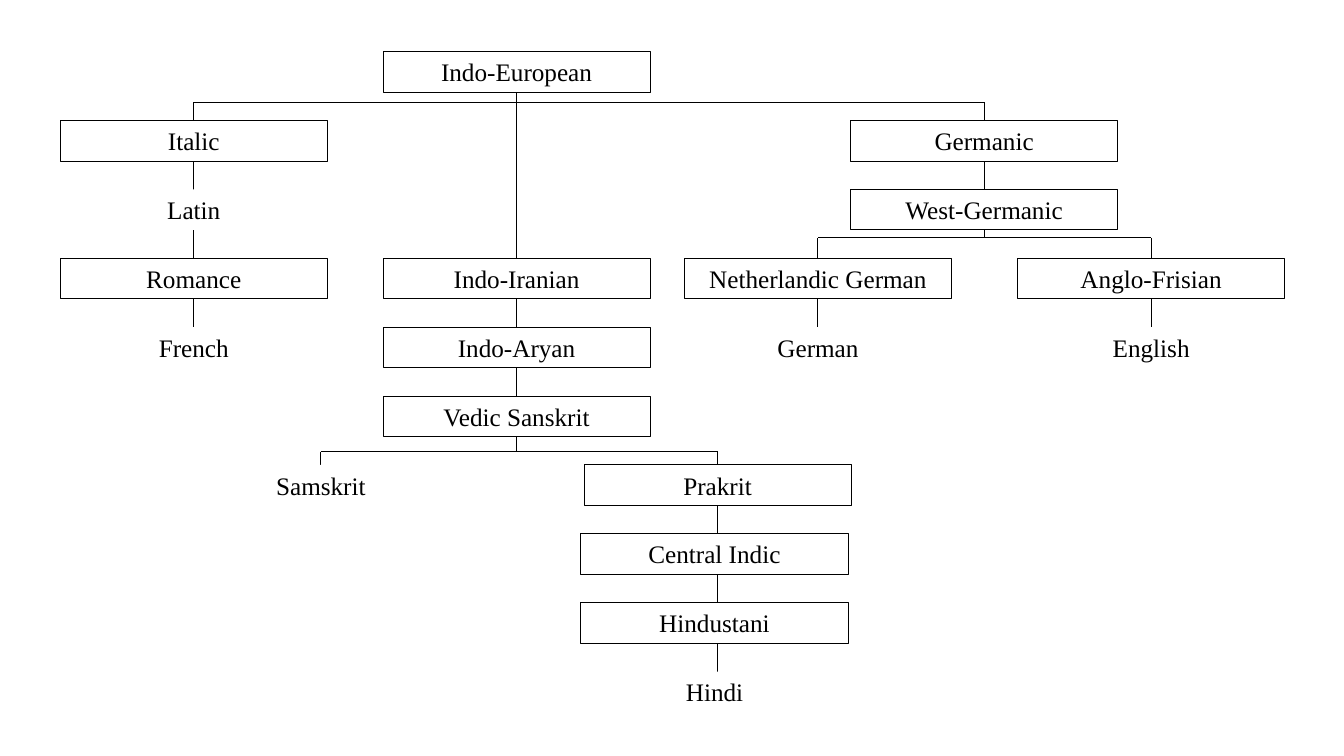
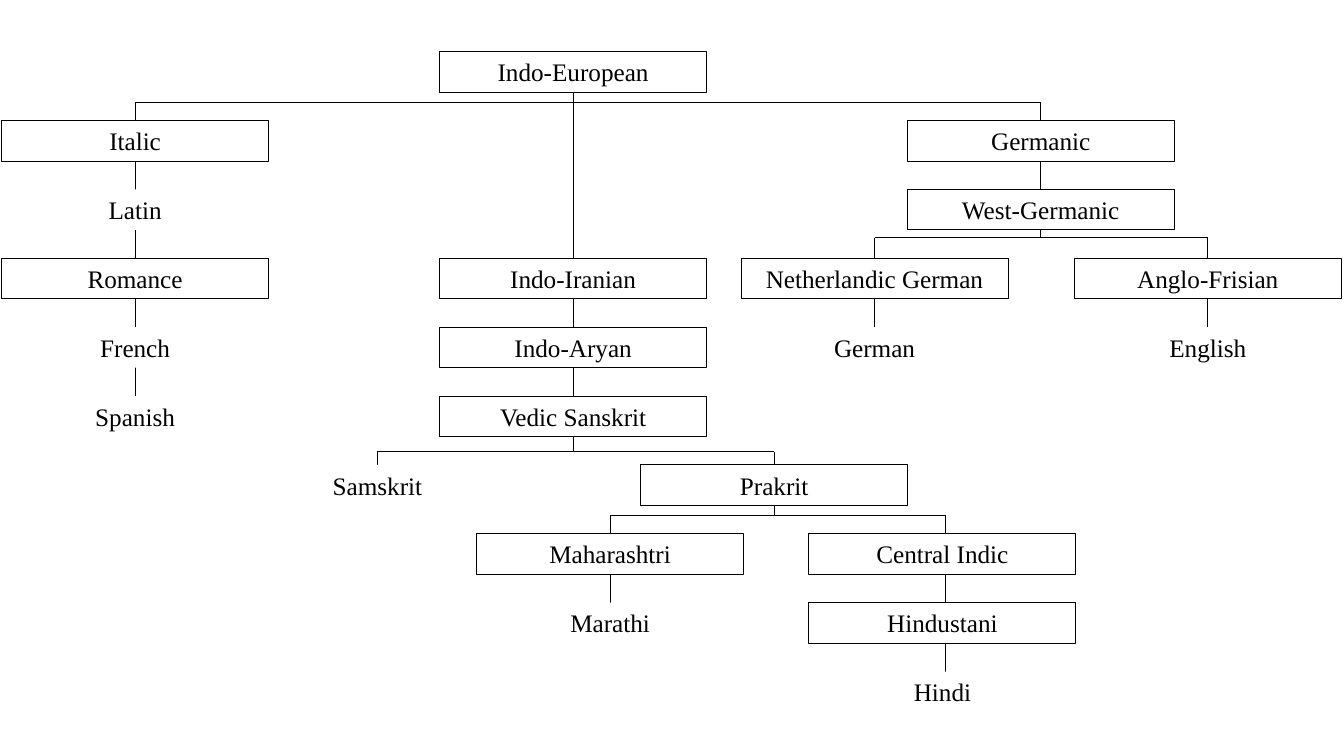
from dataclasses import dataclass

import pptx
import pptx.dml.color
import pptx.enum.shapes
import pptx.enum.text
import pptx.oxml
import pptx.util
from pptx.util import Pt

BLACK = pptx.dml.color.RGBColor(0, 0, 0)
WHITE = pptx.dml.color.RGBColor(255, 255, 255)
FONT = {"name": "Times New Roman", "size": Pt(18)}
INSETS = {"margin_left": Pt(7.2), "margin_right": Pt(7.2),
          "margin_top": Pt(3.6), "margin_bottom": Pt(3.6)}
LINE_WIDTH = 0.75

BOX_W, BOX_H = 190.8, 29
FIRST_TOP, ROW_STEP = 36.9, 49.2

# Languages that stand without a frame
UNFRAMED = {"Latin", "French", "Spanish", "Samskrit", "Marathi", "Hindi",
            "German", "English"}


@dataclass
class Branch:
    """A column of names; children fork off at `drop` below the last one."""
    x: float
    row: int
    names: list
    children: tuple = ()
    drop: float = 0
    box_shift: float = 0


def indo_european(dx, italic_x, italic, prakrit_children):
    """The family tree, moved right by dx except for the Italic column."""
    german = Branch(584.3 + dx, 3, ["Netherlandic German", "German"])
    english = Branch(822.3 + dx, 3, ["Anglo-Frisian", "English"])
    germanic = Branch(703 + dx, 1, ["Germanic", "West-Germanic"],
                      (german, english), drop=5.6)
    samskrit = Branch(229.2 + dx, 6, ["Samskrit"])
    prakrit = Branch(512.6 + dx, 6, ["Prakrit"], prakrit_children, drop=6.8)
    iranian = Branch(369 + dx, 3, ["Indo-Iranian", "Indo-Aryan", "Vedic Sanskrit"],
                     (samskrit, prakrit), drop=10.7)
    return Branch(369 + dx, 0, ["Indo-European"],
                  (Branch(italic_x, 1, italic), iranian, germanic), drop=7.3)


def central_indic(x):
    return Branch(x, 7, ["Central Indic", "Hindustani", "Hindi"], box_shift=-2.2)


ITALIC = ["Italic", "Latin", "Romance", "French"]
TREES = [
    indo_european(0, 138.4, ITALIC, (central_indic(512.6),)),
    indo_european(40.4, 96.5, ITALIC + ["Spanish"],
                  (Branch(435.8, 7, ["Maharashtri", "Marathi"]),
                   central_indic(675.4))),
]


def apply_format(target, values):
    for name, value in values.items():
        setattr(target, name, value)


def add_line(slide, x1, y1, x2, y2):
    line = slide.shapes.add_connector(pptx.enum.shapes.MSO_CONNECTOR.STRAIGHT,
                                      Pt(x1), Pt(y1), Pt(x2), Pt(y2))
    line.line.color.rgb = BLACK
    line.line.width = Pt(LINE_WIDTH)
    sp_pr = line._element.spPr
    sp_pr.append(pptx.oxml.parse_xml(
        '<a:effectLst xmlns:a="http://schemas.openxmlformats.org/drawingml/2006/main"/>'))


def add_box(slide, name, centre, top):
    sp = slide.shapes.add_shape(pptx.enum.shapes.MSO_SHAPE.RECTANGLE,
                                Pt(centre - BOX_W / 2), Pt(top), Pt(BOX_W), Pt(BOX_H))
    sp.shadow.inherit = False
    sp.fill.solid()
    sp.fill.fore_color.rgb = WHITE
    if name in UNFRAMED:
        sp.line.fill.background()
    else:
        sp.line.color.rgb = BLACK
        sp.line.width = Pt(LINE_WIDTH)
    tf = sp.text_frame
    apply_format(tf, INSETS)
    tf.word_wrap = True
    tf.vertical_anchor = pptx.enum.text.MSO_ANCHOR.TOP
    p = tf.paragraphs[0]
    p.alignment = pptx.enum.text.PP_ALIGN.CENTER
    r = p.add_run()
    r.text = name
    apply_format(r.font, FONT)
    r.font.color.rgb = BLACK


def draw_branch(slide, branch, start):
    """Draw the trunk from start, the boxes over it, then the children."""
    tops = [FIRST_TOP + ROW_STEP * (branch.row + i) for i in range(len(branch.names))]
    fork = tops[-1] + BOX_H + branch.drop
    end = fork if branch.children else tops[-1] + BOX_H / 2
    add_line(slide, branch.x, start, branch.x, end)
    for name, top in zip(branch.names, tops):
        add_box(slide, name, branch.x + branch.box_shift, top)
    if len(branch.children) > 1:
        add_line(slide, branch.children[0].x, fork, branch.children[-1].x, fork)
    for child in branch.children:
        draw_branch(slide, child, fork)


def main():
    prs = pptx.Presentation()
    prs.slide_width, prs.slide_height = Pt(960), Pt(540)
    for tree in TREES:
        slide = prs.slides.add_slide(prs.slide_layouts[6])
        draw_branch(slide, tree, FIRST_TOP + BOX_H / 2)
    prs.save("out.pptx")


if __name__ == "__main__":
    main()
